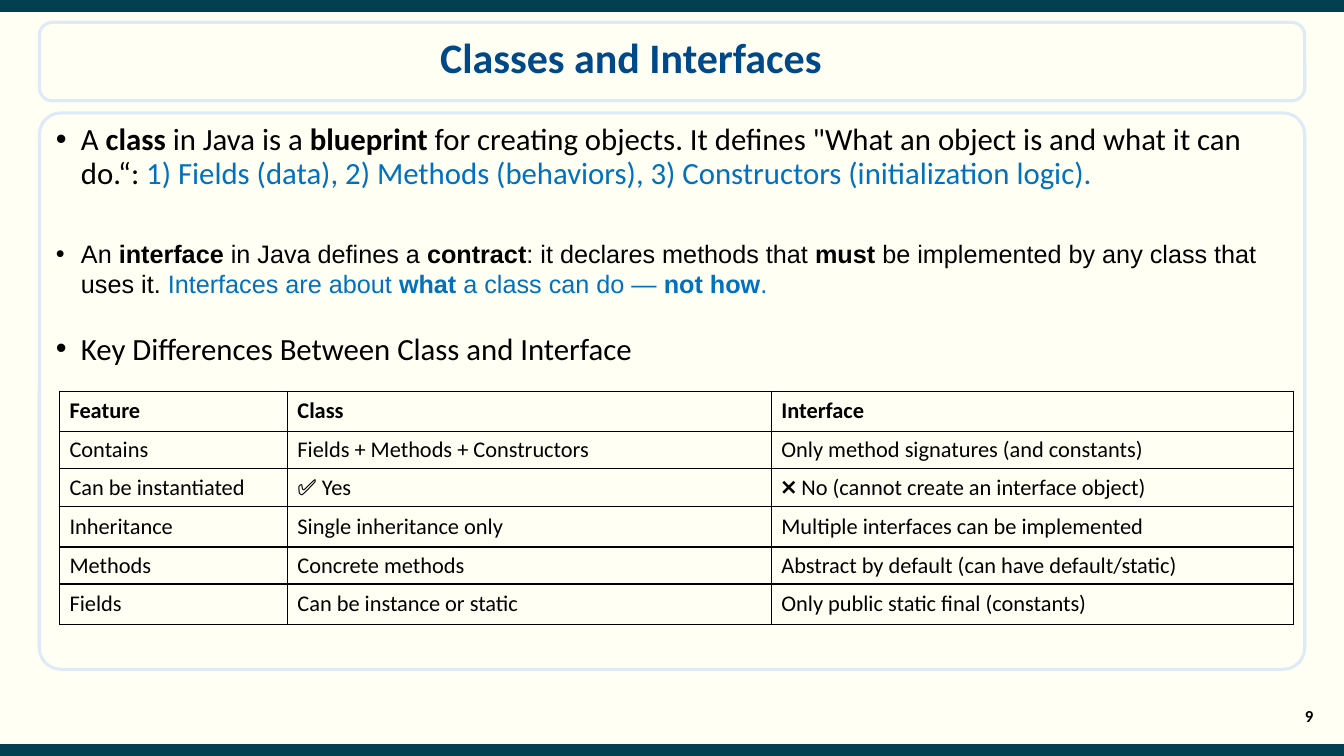
from dataclasses import dataclass

from lxml.etree import SubElement
from pptx import Presentation
from pptx.dml.color import RGBColor
from pptx.enum.shapes import MSO_CONNECTOR, MSO_SHAPE
from pptx.enum.text import MSO_ANCHOR, MSO_AUTO_SIZE, PP_ALIGN
from pptx.oxml.ns import qn
from pptx.util import Inches, Pt


@dataclass(frozen=True)
class Theme:
    background: str = "FFFFF4"
    bar: str = "004050"
    frame: str = "DEEBF7"
    heading: str = "004989"
    ink: str = "000000"
    accent: str = "0070C0"
    main_font: str = "Calibri"
    alt_font: str = "Arial"
    title_size: int = 30
    large_size: int = 22
    medium_size: int = 18
    table_size: int = 16
    number_size: int = 12


THEME = Theme()
WIDTH, HEIGHT = 13.33, 7.5

POINTS = [
    (
        'A **class** in Java is a **blueprint** for creating objects. '
        'It defines "What an object is and what it can do.“: ',
        "1) Fields (data), 2) Methods (behaviors), 3) Constructors (initialization logic).",
        dict(size=THEME.large_size),
        dict(line_spacing=0.9),
    ),
    (
        "An **interface** in Java defines a **contract**: it declares methods that "
        "**must** be implemented by any class that uses it. ",
        "Interfaces are about **what** a class can do — **not how**.",
        dict(size=THEME.medium_size, font=THEME.alt_font),
        dict(space_before=34),
    ),
    (
        "Key Differences Between Class and Interface",
        "",
        dict(size=THEME.large_size),
        dict(space_before=22),
    ),
]

COLUMN_WIDTHS = [2.26, 4.8, 5.18]
ROW_HEIGHTS = [0.4, 0.36, 0.38, 0.4, 0.34, 0.4]
DIFFERENCES = [
    ("Feature", "Class", "Interface"),
    ("Contains", "Fields + Methods + Constructors", "Only method signatures (and constants)"),
    ("Can be instantiated", "✅ Yes", "❌ No (cannot create an interface object)"),
    ("Inheritance", "Single inheritance only", "Multiple interfaces can be implemented"),
    ("Methods", "Concrete methods", "Abstract by default (can have default/static)"),
    ("Fields", "Can be instance or static", "Only public static final (constants)"),
]


def write(paragraph, text, *, size, font=THEME.main_font, color=THEME.ink, bold=False):
    for index, part in enumerate(text.split("**")):
        if part:
            run = paragraph.add_run()
            run.text = part
            run.font.size = Pt(size)
            run.font.name = font
            run.font.bold = bold or index % 2 == 1
            run.font.color.rgb = RGBColor.from_string(color)


class SlideBuilder:
    def __init__(self, slide, theme):
        self.slide = slide
        self.theme = theme
        fill = slide.background.fill
        fill.solid()
        fill.fore_color.rgb = RGBColor.from_string(theme.background)

    def place(self, shape, left, top, width, height):
        shape.left, shape.top = Inches(left), Inches(top)
        shape.width, shape.height = Inches(width), Inches(height)

    def outline(self, shape):
        shape.line.color.rgb = RGBColor.from_string(self.theme.frame)
        shape.line.width = Pt(2.25)

    def frame(self, *box):
        panel = self.slide.shapes.add_shape(
            MSO_SHAPE.ROUNDED_RECTANGLE, *map(Inches, box))
        panel.shadow.inherit = False
        panel.fill.background()
        self.outline(panel)

    def bar(self, y):
        edge = self.slide.shapes.add_connector(
            MSO_CONNECTOR.STRAIGHT, 0, Inches(y), Inches(WIDTH), Inches(y))
        edge.line.color.rgb = RGBColor.from_string(self.theme.bar)
        edge.line.width = Pt(9)
        SubElement(edge._element.spPr, qn("a:effectLst"))

    def title(self, text, *box):
        heading = self.slide.shapes.title
        self.place(heading, *box)
        content = heading.text_frame
        content.auto_size = MSO_AUTO_SIZE.NONE
        content.vertical_anchor = MSO_ANCHOR.MIDDLE
        paragraph = content.paragraphs[0]
        paragraph.alignment = PP_ALIGN.CENTER
        paragraph.line_spacing = 0.9
        write(paragraph, text, size=self.theme.title_size,
              color=self.theme.heading, bold=True)

    def body(self, points, *box):
        explanation = self.slide.placeholders[1]
        self.place(explanation, *box)
        properties = explanation._element.spPr
        geometry = SubElement(properties, qn("a:prstGeom"), prst="roundRect")
        adjustments = SubElement(geometry, qn("a:avLst"))
        SubElement(adjustments, qn("a:gd"), name="adj", fmla="val 3900")
        self.outline(explanation)
        content = explanation.text_frame
        content.auto_size = MSO_AUTO_SIZE.NONE
        content.vertical_anchor = MSO_ANCHOR.TOP
        for index, (statement, highlight, style, spacing) in enumerate(points):
            paragraph = content.add_paragraph() if index else content.paragraphs[0]
            self.bullet(paragraph, **spacing)
            write(paragraph, statement, **style)
            write(paragraph, highlight, color=self.theme.accent, **style)

    def bullet(self, paragraph, line_spacing=1.0, space_before=0):
        paragraph.line_spacing = line_spacing
        paragraph.space_before = Pt(space_before)
        paragraph.space_after = Pt(0)
        properties = paragraph._p.get_or_add_pPr()
        properties.set("marL", str(Inches(0.25)))
        properties.set("indent", str(-Inches(0.25)))
        SubElement(properties, qn("a:buFont"), typeface=self.theme.alt_font)
        SubElement(properties, qn("a:buChar"), char="•")

    def page_number(self, text, *box):
        content = self.slide.shapes.add_textbox(*map(Inches, box)).text_frame
        content.word_wrap = True
        content.vertical_anchor = MSO_ANCHOR.MIDDLE
        paragraph = content.paragraphs[0]
        paragraph.alignment = PP_ALIGN.CENTER
        write(paragraph, text, size=self.theme.number_size, bold=True)

    def table(self, rows, widths, heights, left, top):
        grid = self.slide.shapes.add_table(
            len(rows), len(widths), Inches(left), Inches(top),
            Inches(sum(widths)), Inches(sum(heights))).table
        grid.first_row = grid.horz_banding = False
        for column, width in zip(grid.columns, widths):
            column.width = Inches(width)
        for index, (row, height, texts) in enumerate(zip(grid.rows, heights, rows)):
            row.height = Inches(height)
            for cell, text in zip(row.cells, texts):
                self.borders(cell)
                cell.fill.background()
                cell.vertical_anchor = MSO_ANCHOR.MIDDLE
                write(cell.text_frame.paragraphs[0], text,
                      size=self.theme.table_size, bold=index == 0)

    def borders(self, cell):
        properties = cell._tc.get_or_add_tcPr()
        for side in ("lnL", "lnR", "lnT", "lnB"):
            border = SubElement(properties, qn(f"a:{side}"), w=str(Pt(1)))
            fill = SubElement(border, qn("a:solidFill"))
            SubElement(fill, qn("a:srgbClr"), val=self.theme.ink)


def main():
    deck = Presentation()
    deck.slide_width, deck.slide_height = Inches(WIDTH), Inches(HEIGHT)
    builder = SlideBuilder(deck.slides.add_slide(deck.slide_layouts[1]), THEME)
    builder.frame(0.39, 0.22, 12.55, 0.78)
    for y in (0.06, HEIGHT - 0.06):
        builder.bar(y)
    builder.title("Classes and Interfaces", 0.87, 0.22, 10.78, 0.74)
    builder.body(POINTS, 0.39, 1.12, 12.55, 5.52)
    builder.page_number("9", 12.73, 6.83, 0.51, 0.55)
    builder.table(DIFFERENCES, COLUMN_WIDTHS, ROW_HEIGHTS, 0.59, 3.88)
    deck.save("out.pptx")


if __name__ == "__main__":
    main()
